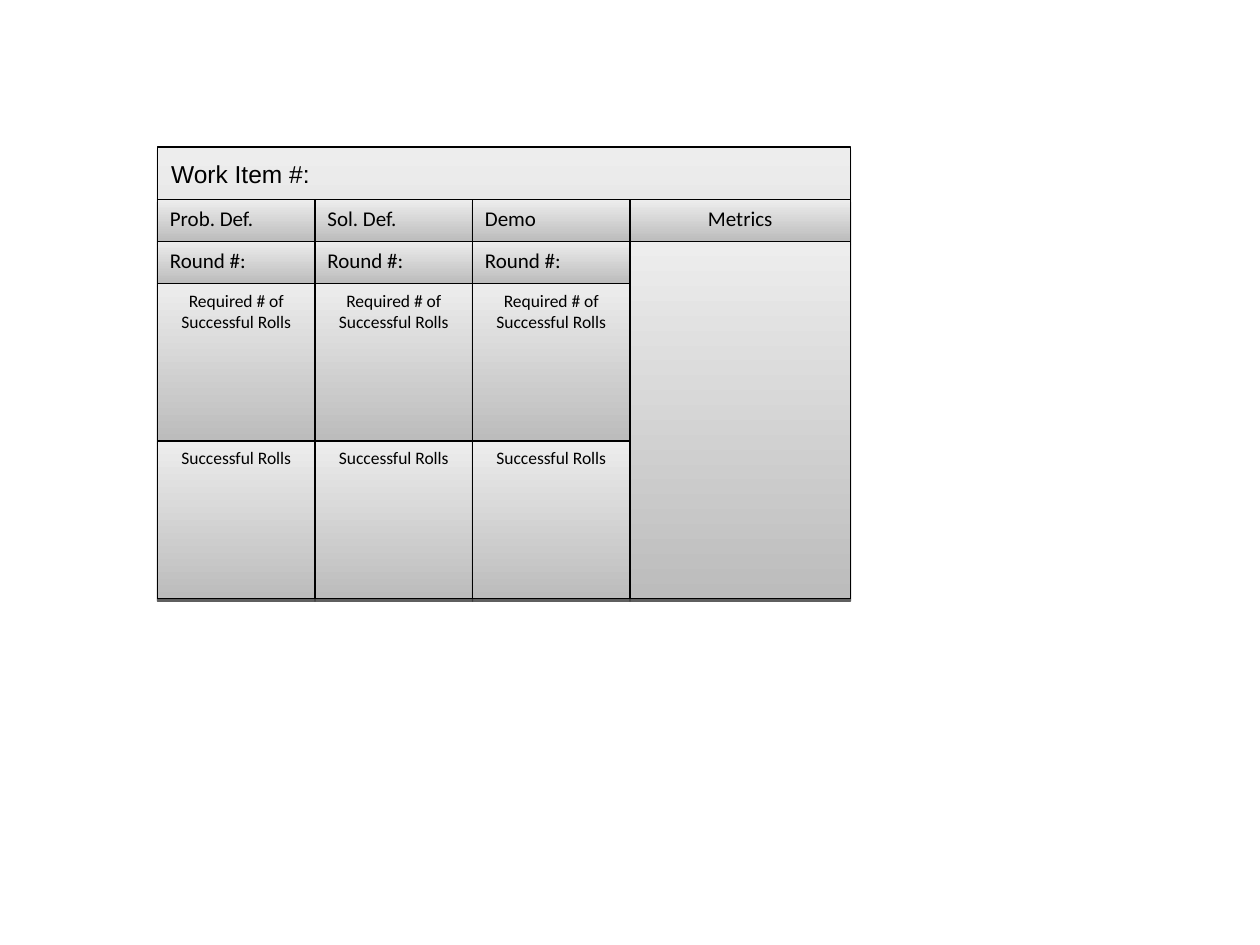
from lxml import etree
from pptx import Presentation
from pptx.dml.color import RGBColor
from pptx.enum.shapes import MSO_SHAPE
from pptx.enum.text import MSO_ANCHOR, MSO_AUTO_SIZE, PP_ALIGN
from pptx.oxml.ns import qn
from pptx.util import Pt

RECTANGLE = MSO_SHAPE.RECTANGLE
TOP = MSO_ANCHOR.TOP
LEFT, CENTER = PP_ALIGN.LEFT, PP_ALIGN.CENTER
FIT_SHAPE = MSO_AUTO_SIZE.SHAPE_TO_FIT_TEXT

BLACK, DARK_GRAY, LIGHT_GRAY = "000000", "BCBCBC", "EDEDED"

# Card grid, in points
CARD_LEFT, CARD_TOP = 90, 84
TITLE_HEIGHT, HEADER_HEIGHT, ROLLS_HEIGHT = 30, 24, 90
PHASE_WIDTH, METRICS_WIDTH = 90, 126
PHASES = ["Prob. Def.", "Sol. Def.", "Demo"]


def color(hex_string):
    return RGBColor.from_string(hex_string)


def add_drop_shadow(shape):
    properties = shape._element.spPr
    effects = etree.SubElement(properties, qn("a:effectLst"))
    shadow = etree.SubElement(effects, qn("a:outerShdw"), blurRad="0",
                              dist=str(Pt(1.6)), dir="5400000", rotWithShape="0")
    shadow_color = etree.SubElement(shadow, qn("a:srgbClr"), val=BLACK)
    etree.SubElement(shadow_color, qn("a:alpha"), val="38000")


def write_text(shape, text, size, font, alignment):
    text_frame = shape.text_frame
    text_frame.text = text
    text_frame.vertical_anchor = TOP
    paragraph = text_frame.paragraphs[0]
    paragraph.alignment = alignment
    run_font = paragraph.runs[0].font
    run_font.name = font
    run_font.size = Pt(size)
    run_font.color.rgb = color(BLACK)


def add_cell(card, left, top, width, height, text="", size=12, alignment=LEFT):
    cell = card.shapes.add_shape(RECTANGLE, Pt(left), Pt(top), Pt(width), Pt(height))
    cell.fill.gradient()
    cell.fill.gradient_angle = 90
    for stop, shade in zip(cell.fill.gradient_stops, (DARK_GRAY, LIGHT_GRAY)):
        stop.color.rgb = color(shade)
        stop.position = 0 if shade == DARK_GRAY else 1
    cell.line.color.rgb = color(BLACK)
    cell.line.width = Pt(0.75)
    add_drop_shadow(cell)
    if text:
        write_text(cell, text, size, "Calibri", alignment)


def add_card_title(card, text):
    title = card.shapes.add_textbox(Pt(90.72), Pt(87.12), Pt(97.92), Pt(24.48))
    write_text(title, text, 14, "Arial", LEFT)
    title.text_frame.word_wrap = False
    title.text_frame.auto_size = FIT_SHAPE


def main():
    presentation = Presentation()
    presentation.slide_width, presentation.slide_height = Pt(720), Pt(540)
    slide = presentation.slides.add_slide(presentation.slide_layouts[6])
    card = slide.shapes.add_group_shape()

    # Rows of each phase column: text, height, size, alignment
    detail_rows = [
        ("Round #:", HEADER_HEIGHT, 12, LEFT),
        ("Required # of Successful Rolls", ROLLS_HEIGHT, 10, CENTER),
        ("Successful Rolls", ROLLS_HEIGHT, 10, CENTER),
    ]
    details_height = sum(row[1] for row in detail_rows)
    header_top = CARD_TOP + TITLE_HEIGHT
    details_top = header_top + HEADER_HEIGHT
    metrics_left = CARD_LEFT + len(PHASES) * PHASE_WIDTH

    # Card panel and title
    add_cell(card, CARD_LEFT, CARD_TOP, metrics_left + METRICS_WIDTH - CARD_LEFT,
             TITLE_HEIGHT + HEADER_HEIGHT + details_height)
    add_card_title(card, "Work Item #:")

    # Column headers
    for column, phase in enumerate(PHASES):
        add_cell(card, CARD_LEFT + column * PHASE_WIDTH, header_top,
                 PHASE_WIDTH, HEADER_HEIGHT, phase)
    add_cell(card, metrics_left, header_top, METRICS_WIDTH, HEADER_HEIGHT,
             "Metrics", alignment=CENTER)

    # Metrics area and phase details
    add_cell(card, metrics_left, details_top, METRICS_WIDTH, details_height)
    for column in range(len(PHASES)):
        top = details_top
        for text, height, size, alignment in detail_rows:
            add_cell(card, CARD_LEFT + column * PHASE_WIDTH, top, PHASE_WIDTH,
                     height, text, size, alignment)
            top += height

    presentation.save("out.pptx")


if __name__ == "__main__":
    main()
